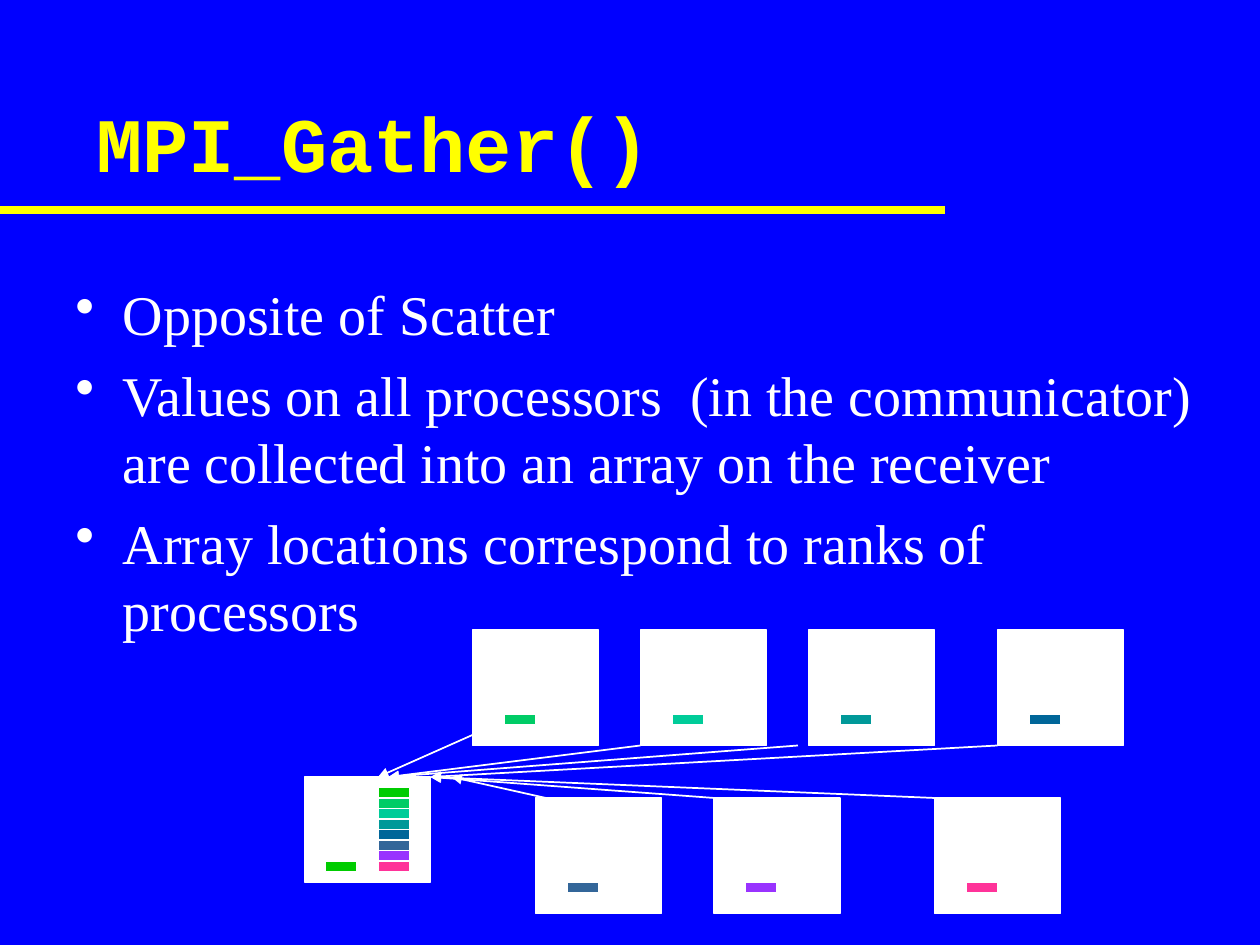
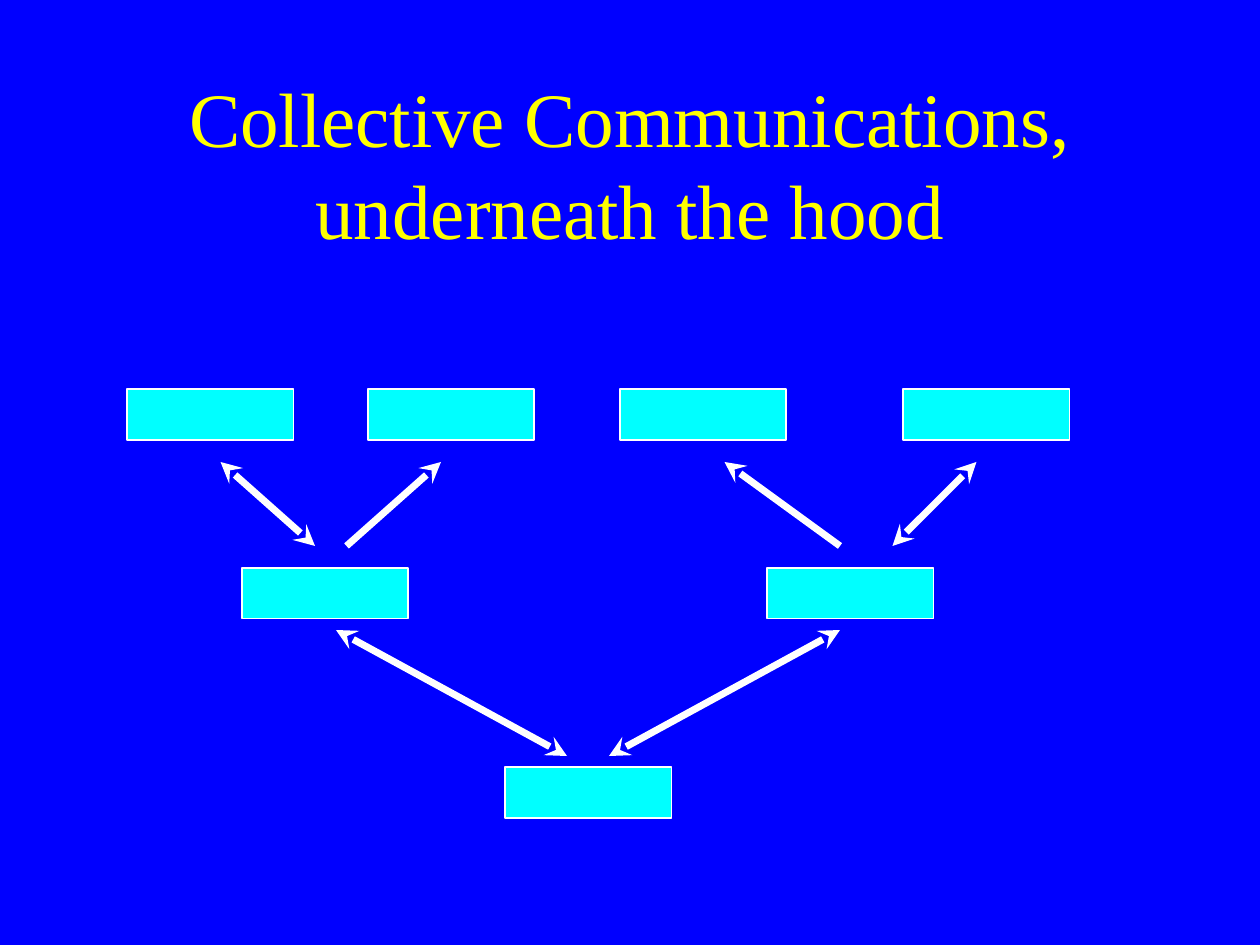
from dataclasses import dataclass

from lxml import etree
from pptx import Presentation
from pptx.dml.color import RGBColor
from pptx.enum.shapes import MSO_CONNECTOR, MSO_SHAPE
from pptx.enum.text import MSO_ANCHOR, PP_ALIGN
from pptx.oxml.ns import qn
from pptx.util import Pt

RECTANGLE = MSO_SHAPE.RECTANGLE
STRAIGHT = MSO_CONNECTOR.STRAIGHT
TOP, MIDDLE = MSO_ANCHOR.TOP, MSO_ANCHOR.MIDDLE
LEFT, CENTER = PP_ALIGN.LEFT, PP_ALIGN.CENTER


@dataclass(frozen=True)
class Theme:
    background: str = "0000FF"
    accent: str = "FFFF00"
    light: str = "FFFFFF"
    node: str = "00FFFF"
    ranks: tuple = ("00CC00", "00CC66", "00CC99", "009999",
                    "006699", "336699", "9933FF", "FF3399")
    serif: str = "Times New Roman"
    code: str = "Courier New"
    title_size: float = 44
    body_size: float = 32
    outline: float = 1
    link: float = 4
    rule: float = 4.5


THEME = Theme()


def color(code):
    return RGBColor.from_string(code)


# Shared drawing helpers
def add_rectangle(page, left, top, width, height, fill):
    box = page.shapes.add_shape(RECTANGLE, Pt(left), Pt(top), Pt(width), Pt(height))
    box.shadow.inherit = False
    box.fill.solid()
    box.fill.fore_color.rgb = color(fill)
    box.line.color.rgb = color(THEME.light)
    box.line.width = Pt(THEME.outline)


def add_line(page, start, end, line_color, width, head=None, tail=None):
    line = page.shapes.add_connector(STRAIGHT, *(Pt(value) for value in (*start, *end)))
    line.line.color.rgb = color(line_color)
    line.line.width = Pt(width)
    outline = line.line._get_or_add_ln()
    for tag, arrow in (("a:headEnd", head), ("a:tailEnd", tail)):
        if arrow:
            etree.SubElement(outline, qn(tag), type=arrow)
    etree.SubElement(line._element.spPr, qn("a:effectLst"))


def add_text_frame(page, box, anchor):
    frame = page.shapes.add_textbox(*(Pt(value) for value in box)).text_frame
    frame.word_wrap = True
    frame.vertical_anchor = anchor
    return frame


def style_paragraph(para, font_name, size, font_color, bold=False):
    para.font.name = font_name
    para.font.size = Pt(size)
    para.font.bold = bold
    para.font.color.rgb = color(font_color)


def add_title(page, box, text, font_name, align, bold=False):
    para = add_text_frame(page, box, MIDDLE).paragraphs[0]
    para.text = text
    para.alignment = align
    style_paragraph(para, font_name, THEME.title_size, THEME.accent, bold)


def add_bullets(page, box, items):
    frame = add_text_frame(page, box, TOP)
    for index, item in enumerate(items):
        para = frame.paragraphs[0] if index == 0 else frame.add_paragraph()
        para.text = item
        if index:
            para.space_before = Pt(8)
        properties = para._p.get_or_add_pPr()
        properties.set("marL", str(Pt(27)))
        properties.set("indent", str(-Pt(27)))
        etree.SubElement(properties, qn("a:buChar"), char="•")
        style_paragraph(para, THEME.serif, THEME.body_size, THEME.light)


# Processors sending their values to the array of the receiver
def add_gather_diagram(page, left, top):
    chip_width, chip_height = 18, 6
    receiver_top = 84
    upper, lower = 0, 96
    # Each sender: left, top, arrow tip x, arrow start x and y
    senders = [
        (96, upper, 42, 96, 60),
        (192, upper, 48, 192, 66),
        (288, upper, 48, 282, 66),
        (396, upper, 72, 396, 66),
        (132, lower, 84, 138, 96),
        (234, lower, 72, 234, 96),
        (360, lower, 72, 360, 96),
    ]

    def add_chip(x, y, fill):
        add_rectangle(page, left + x, top + y, chip_width, chip_height, fill)

    # Receiver with its own value and the gathered array
    add_rectangle(page, left, top + receiver_top, 72, 60, THEME.light)
    add_chip(12, receiver_top + 48, THEME.ranks[0])
    for rank, fill in enumerate(THEME.ranks):
        add_chip(42, receiver_top + 6 + rank * chip_height, fill)

    # Senders
    for (x, y, *_), fill in zip(senders, THEME.ranks[1:]):
        add_rectangle(page, left + x, top + y, 72, 66, THEME.light)
        add_chip(x + 18, y + 48, fill)

    # Arrows into the receiver
    for _, _, tip_x, start_x, start_y in senders:
        add_line(page, (left + tip_x, top + receiver_top),
                 (left + start_x, top + start_y),
                 THEME.light, THEME.outline, head="triangle")


# Tree of processors with the messages between its levels
def add_message_tree(page, left, top):
    levels = [
        (0.5, (0.7, 138.2, 282.2, 444.2)),
        (102.7, (66.2, 366.5)),
        (216.5, (216.7,)),
    ]
    messages = [
        ((252, 210), (120, 138), "stealth"),
        ((276, 210), (408, 138), "stealth"),
        ((54, 42), (108, 90), "stealth"),
        ((180, 42), (126, 90), None),
        ((342, 42), (408, 90), None),
        ((438, 90), (486, 42), "stealth"),
    ]
    for y, columns in levels:
        for x in columns:
            add_rectangle(page, left + x, top + y, 95, 28.8, THEME.node)
    for start, end, tail in messages:
        add_line(page, (left + start[0], top + start[1]),
                 (left + end[0], top + end[1]),
                 THEME.light, THEME.link, head="stealth", tail=tail)


def build_gather_slide(page):
    add_title(page, (48, 36, 612, 90), "MPI_Gather()", THEME.code, LEFT, bold=True)
    add_bullets(page, (36, 156, 660, 216), [
        "Opposite of Scatter",
        "Values on all processors  (in the communicator) are collected "
        "into an array on the receiver",
        "Array locations correspond to ranks of processors",
    ])
    add_line(page, (0, 120), (540, 120), THEME.accent, THEME.rule)
    add_gather_diagram(page, 174, 360)


def build_tree_slide(page):
    add_title(page, (54, 48, 612, 90),
              "Collective Communications, underneath the hood", THEME.serif, CENTER)
    add_message_tree(page, 72, 222)


def main():
    deck = Presentation()
    deck.slide_width, deck.slide_height = Pt(720), Pt(540)
    backdrop = deck.slide_master.background.fill
    backdrop.solid()
    backdrop.fore_color.rgb = color(THEME.background)
    blank = deck.slide_layouts[6]
    for build in (build_gather_slide, build_tree_slide):
        build(deck.slides.add_slide(blank))
    deck.save("out.pptx")


if __name__ == "__main__":
    main()
